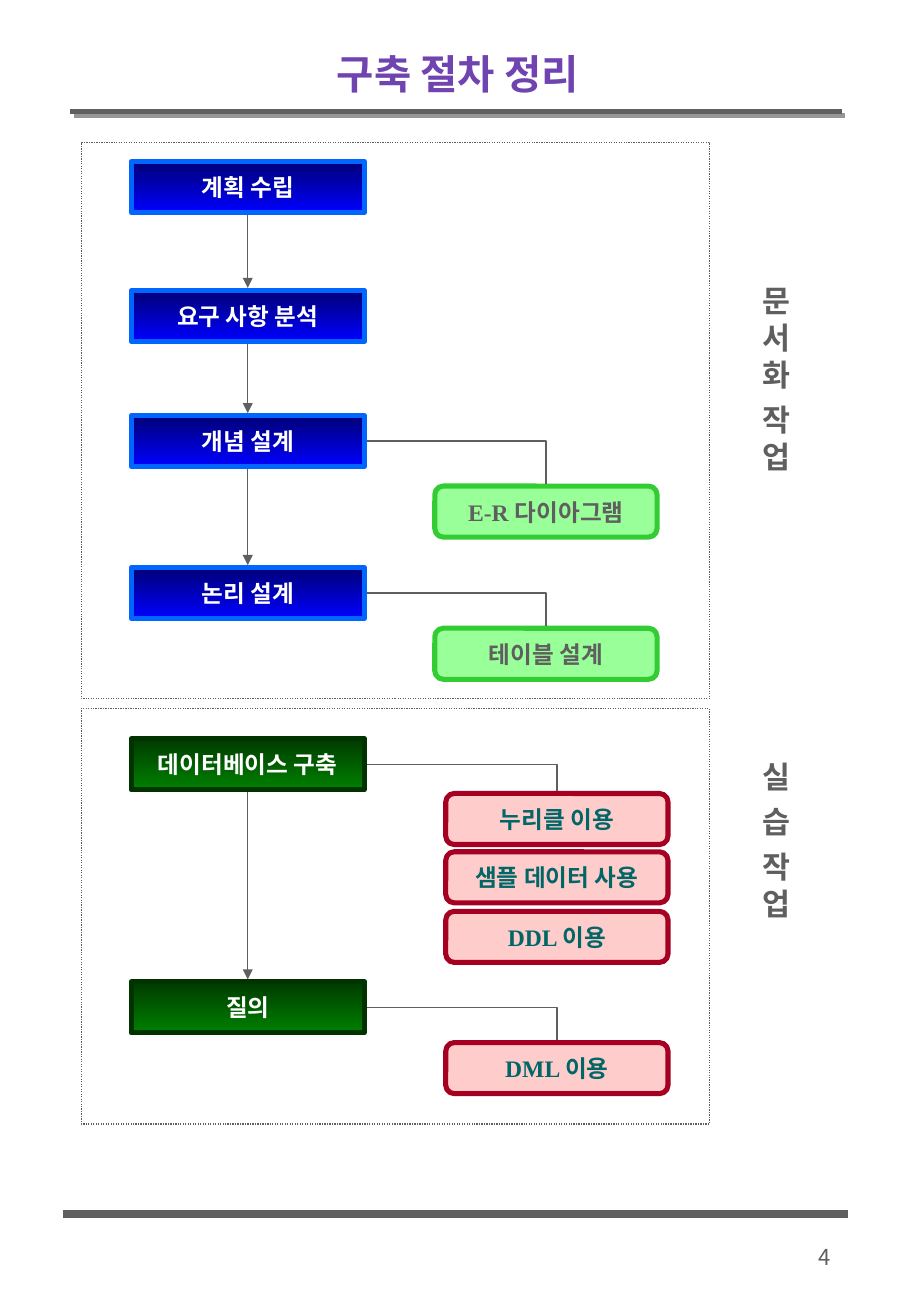
from dataclasses import dataclass
from lxml.etree import SubElement
from pptx import Presentation
from pptx.dml.color import RGBColor
from pptx.enum.dml import MSO_LINE
from pptx.enum.shapes import MSO_CONNECTOR as CONN, MSO_SHAPE as SHAPE
from pptx.enum.text import MSO_ANCHOR as ANCHOR, MSO_AUTO_SIZE as AUTO, PP_ALIGN as ALIGN
from pptx.oxml.ns import qn
from pptx.util import Inches, Pt


@dataclass(frozen=True)
class Theme:
    sans: str = "Noto Sans CJK KR"
    serif: str = "Times New Roman"
    gray: str = "5F5F5F"
    shadow: str = "969696"
    white: str = "FFFFFF"
    title: str = "7044B0"
    title_size: int = 24
    label_size: int = 18
    box_size: int = 14
    page_size: int = 13
    thin: float = 0.75
    border: float = 3
    footer: float = 4.5


T = Theme()
TITLE, PAGE = "구축 절차 정리", "4"
PHASES = [
    {
        "frame": (1.17, 4.58), "label_top": 2.25, "label": ["문 서 화", "작 업"],
        "step_style": ("000076", "0000FF", "0066FF"),
        "note_style": ("99FF99", "33CC33", T.gray), "note_left": 3.58,
        "steps": [
            ("계획 수립", 1.33, []),
            ("요구 사항 분석", 2.39, []),
            ("개념 설계", 3.42, [("E-R 다이아그램", 4.0)]),
            ("논리 설계", 4.67, [("테이블 설계", 5.17)]),
        ],
    },
    {
        "frame": (5.83, 3.42), "label_top": 6.17, "label": ["실", "습", "작 업"],
        "step_style": ("003B00", "008000", "003300"),
        "note_style": ("FFCCCC", "A50021", "006666"), "note_left": 3.67,
        "steps": [
            ("데이터베이스 구축", 6.08,
             [("누리클 이용", 6.53), ("샘플 데이터 사용", 7.01), ("DDL 이용", 7.5)]),
            ("질의", 8.08, [("DML 이용", 8.58)]),
        ],
    },
]
FRAME_LEFT, FRAME_W = 0.67, 5.17
STEP_LEFT, STEP_W, NOTE_W, BOX_H = 1.08, 1.92, 1.83, 0.42
LABEL_LEFT, LABEL_W, LABEL_H = 6.08, 0.5, 2.58
GAP = 0.02
WIDE_SPACE = 450

prs = Presentation()
prs.slide_width, prs.slide_height = Inches(7.5), Inches(10.83)
s = prs.slides.add_slide(prs.slide_layouts[6])


def rgb(color):
    return RGBColor.from_string(color)


def format_runs(p, size, color, font, bold=True):
    for r in p.runs:
        f = r.font
        f.size, f.bold, f.name = Pt(size), bold, font
        f.color.rgb = rgb(color)
        SubElement(r._r.get_or_add_rPr(), qn("a:ea")).set("typeface", T.sans)


def add_text(text, box, size, color, align, bold):
    sp = s.shapes.add_textbox(*map(Inches, box))
    tf = sp.text_frame
    tf.word_wrap, tf.vertical_anchor = True, ANCHOR.MIDDLE
    p = tf.paragraphs[0]
    p.text, p.alignment = text, align
    format_runs(p, size, color, T.sans, bold)


def add_block(kind, box, line=None, width=T.border):
    sp = s.shapes.add_shape(kind, *map(Inches, box))
    sp.shadow.inherit = False
    if line:
        sp.line.color.rgb, sp.line.width = rgb(line), Pt(width)
    else:
        sp.line.fill.background()
    return sp


def add_box(kind, text, box, line, color):
    sp = add_block(kind, box, line)
    tf = sp.text_frame
    tf.word_wrap, tf.vertical_anchor = False, ANCHOR.MIDDLE
    p = tf.paragraphs[0]
    p.text, p.alignment = text, ALIGN.CENTER
    format_runs(p, T.box_size, color, T.serif)
    return sp


def add_line(start, end, width=T.thin, bent=False, arrow=False):
    kind = CONN.ELBOW if bent else CONN.STRAIGHT
    c = s.shapes.add_connector(kind, *map(Inches, start + end))
    c.line.color.rgb, c.line.width = rgb(T.gray), Pt(width)
    props = c._element.spPr
    if bent:
        props.find(qn("a:prstGeom")).set("prst", "bentConnector2")
    if arrow:
        SubElement(c.line._get_or_add_ln(), qn("a:tailEnd")).set("type", "triangle")
    return SubElement(props, qn("a:effectLst"))


def add_step(text, top, style):
    start, end, line = style
    sp = add_box(SHAPE.RECTANGLE, text, (STEP_LEFT, top, STEP_W, BOX_H), line, T.white)
    sp.fill.gradient()
    sp.fill.gradient_angle = 270
    for stop, color in zip(sp.fill.gradient_stops, (start, end)):
        stop.color.rgb = rgb(color)


def add_note(text, left, top, style):
    fill, line, color = style
    sp = add_box(SHAPE.FLOWCHART_ALTERNATE_PROCESS, text,
                 (left, top, NOTE_W, BOX_H), line, color)
    sp.fill.solid()
    sp.fill.fore_color.rgb = rgb(fill)


def add_label(words, top):
    sp = add_block(SHAPE.RECTANGLE, (LABEL_LEFT, top, LABEL_W, LABEL_H))
    sp.fill.solid()
    sp.fill.fore_color.rgb = rgb(T.white)
    tf = sp.text_frame
    tf.word_wrap, tf.auto_size = True, AUTO.SHAPE_TO_FIT_TEXT
    tf.vertical_anchor = ANCHOR.TOP
    tf._txBody.bodyPr.set("vert", "eaVert")
    p = tf.paragraphs[0]
    p.alignment = ALIGN.CENTER
    for i, word in enumerate(words):
        if i:
            r = p.add_run()
            r.text = " "
            r._r.get_or_add_rPr().set("spc", str(WIDE_SPACE))
        p.add_run().text = word
    format_runs(p, T.label_size, T.gray, T.serif)


def add_phase(phase):
    top, height = phase["frame"]
    frame = add_block(SHAPE.RECTANGLE, (FRAME_LEFT, top, FRAME_W, height), T.gray, T.thin)
    frame.fill.background()
    frame.line.dash_style = MSO_LINE.ROUND_DOT
    center = STEP_LEFT + STEP_W / 2
    left = phase["note_left"]
    previous = None
    for text, y, notes in phase["steps"]:
        add_step(text, y, phase["step_style"])
        if previous is not None:
            add_line((center, previous + BOX_H + GAP), (center, y - GAP), arrow=True)
        for note, note_top in notes:
            add_note(note, left, note_top, phase["note_style"])
        if notes:
            add_line((STEP_LEFT + STEP_W + GAP, y + BOX_H / 2),
                     (left + NOTE_W / 2, notes[0][1] - GAP), bent=True)
        previous = y
    add_label(phase["label"], phase["label_top"])


effects = add_line((0.58, 0.92), (6.93, 0.92), T.border)
shadow = SubElement(effects, qn("a:outerShdw"), dist=str(Pt(2.8)), dir="2700000")
SubElement(shadow, qn("a:srgbClr"), val=T.shadow)
add_line((0.52, 9.99), (6.98, 9.99), T.footer)
add_text(PAGE, (5.92, 10.17, 1.02, 0.34), T.page_size, T.gray, ALIGN.RIGHT, False)
add_text(TITLE, (0.58, 0.33, 6.38, 0.54), T.title_size, T.title, ALIGN.CENTER, True)
for phase in PHASES:
    add_phase(phase)

prs.save("out.pptx")
